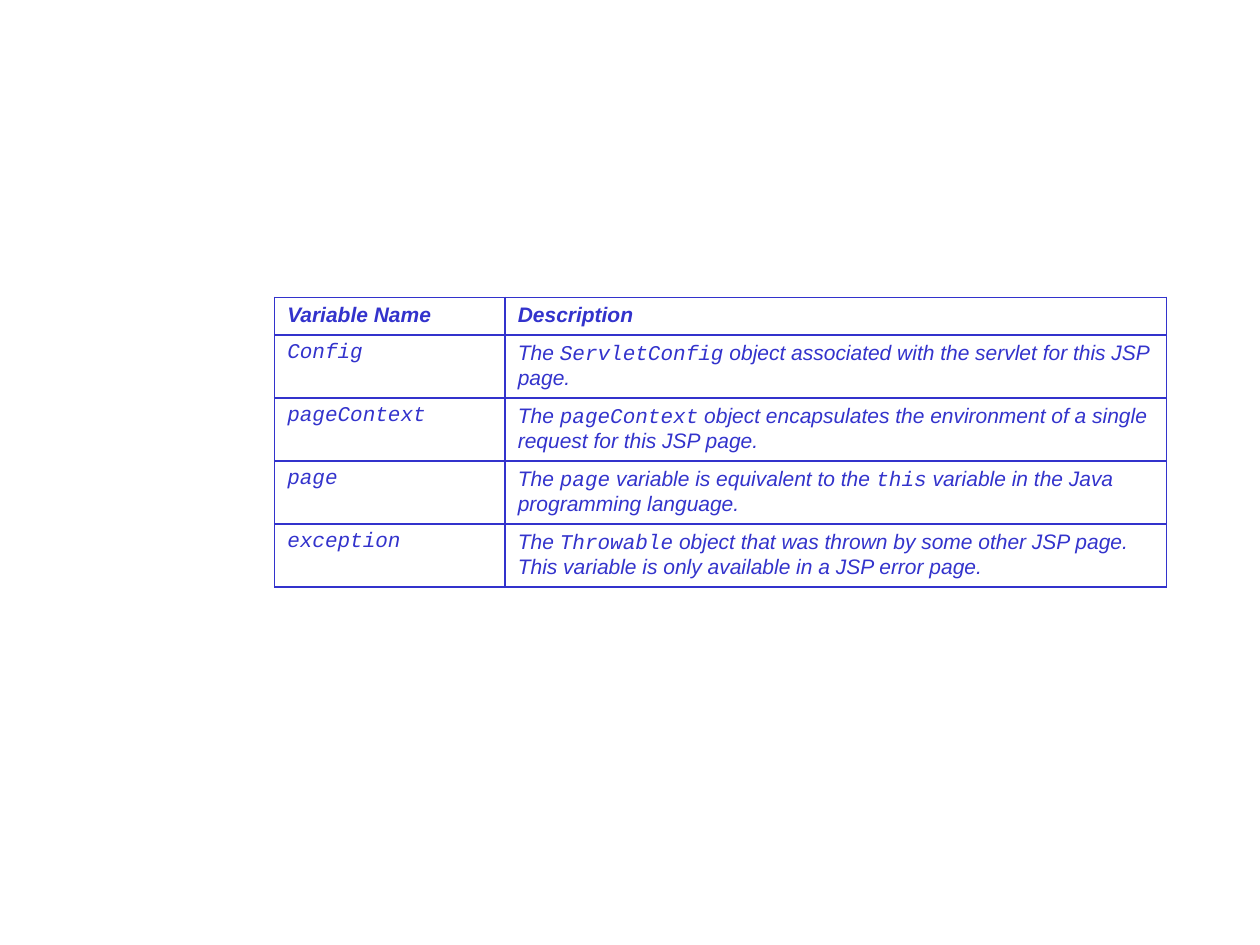
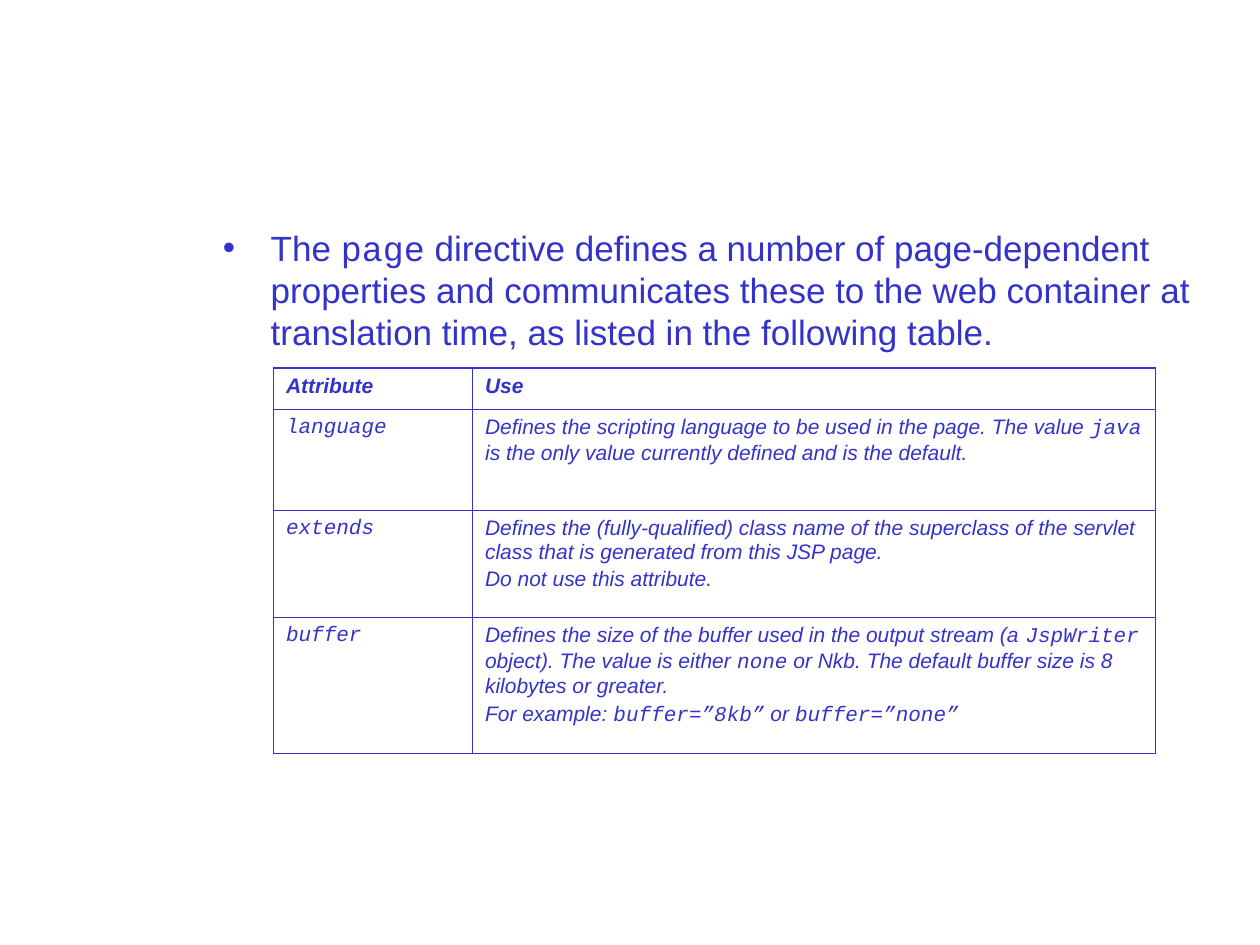
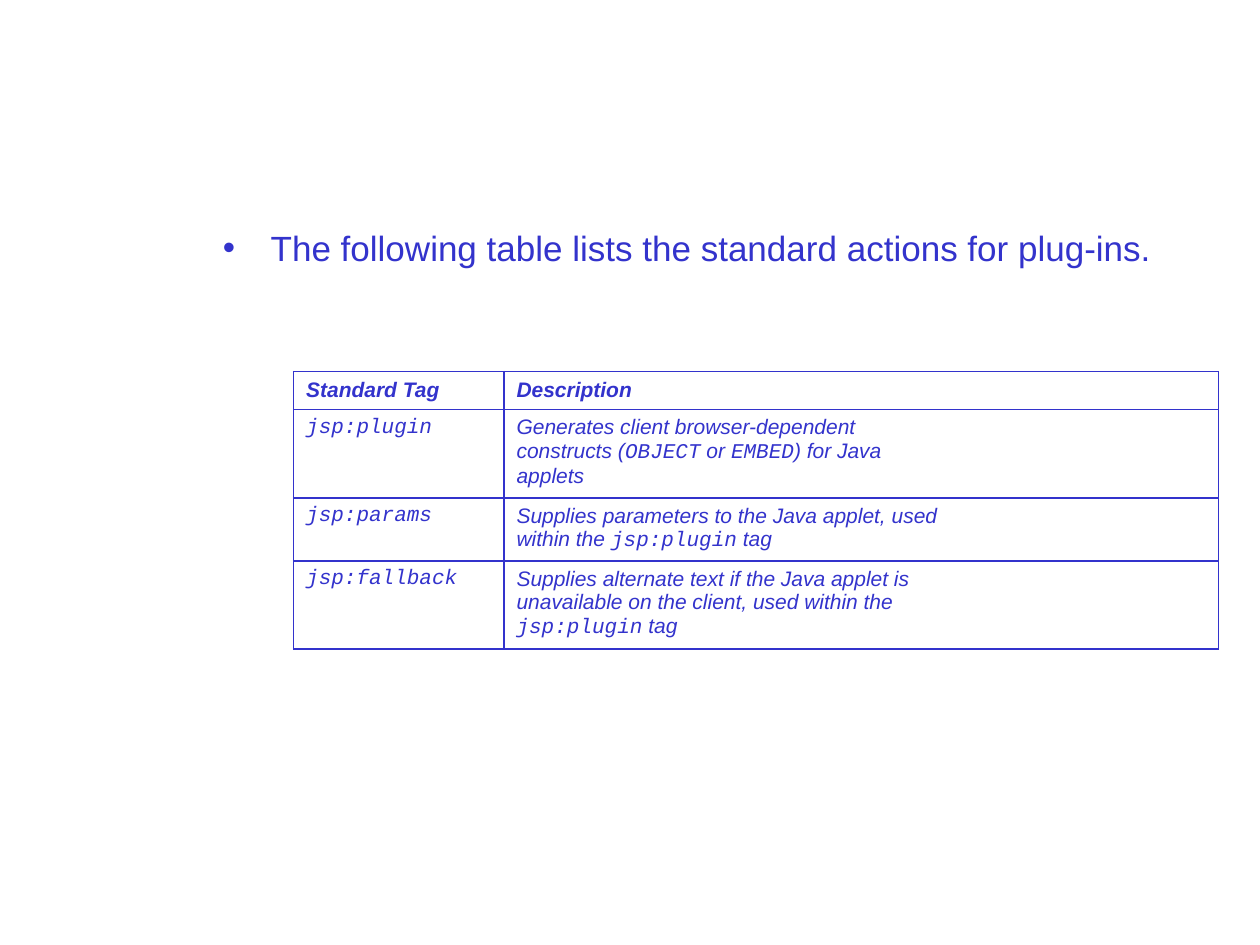
from lxml import etree
from pptx import Presentation
from pptx.dml.color import RGBColor
from pptx.oxml.ns import qn
from pptx.util import Inches, Pt

BLUE = "3333CC"
BODY_FONT, CODE_FONT = "Arial", "Courier New"
BODY_SIZE, TABLE_SIZE = 20, 12
BODY_BOX = (1.67, 1.75, 8, 5)
BULLET_INDENT = 0.38
SPACING = 0.2  # space before a paragraph, as a share of the text size

# Backticks mark code; a line break starts a new paragraph
VARIABLES = [
    ("Variable Name", "Description"),
    ("`Config`", "The `ServletConfig` object associated with the servlet for this JSP page."),
    ("`pageContext`", "The `pageContext` object encapsulates the environment of a single "
                      "request for this JSP page."),
    ("`page`", "The `page` variable is equivalent to the `this` variable in the Java "
               "programming language."),
    ("`exception`", "The `Throwable` object that was thrown by some other JSP page. "
                    "This variable is only available in a JSP error page."),
]
ATTRIBUTES = [
    ("Attribute", "Use"),
    ("`language`", "Defines the scripting language to be used in the page. The value `java` "
                   "is the only value currently defined and is the default."),
    ("`extends`", "Defines the (fully-qualified) class name of the superclass of the servlet "
                  "class that is generated from this JSP page.\nDo not use this attribute."),
    ("`buffer`", "Defines the size of the buffer used in the output stream (a `JspWriter` "
                 "object). The value is either `none` or Nkb. The default buffer size is "
                 "8 kilobytes or greater.\n"
                 "For example: `buffer=”8kb”` or `buffer=”none”`"),
]
PLUGIN_TAGS = [
    ("Standard Tag", "Description"),
    ("`jsp:plugin`", "Generates client browser-dependent\n"
                     "constructs (`OBJECT` or `EMBED`) for Java\napplets"),
    ("`jsp:params`", "Supplies parameters to the Java applet, used\n"
                     "within the `jsp:plugin` tag"),
    ("`jsp:fallback`", "Supplies alternate text if the Java applet is\n"
                       "unavailable on the client, used within the\n`jsp:plugin` tag"),
]


def rgb(value):
    return RGBColor.from_string(value)


def write(tf, text, size, bold=False, italic=False, spacing=0):
    """Fill a text frame, setting the parts between backticks in the code font."""
    for i, line in enumerate(text.split("\n")):
        p = tf.paragraphs[0] if i == 0 else tf.add_paragraph()
        p.space_before = Pt(size * spacing)
        for j, part in enumerate(line.split("`")):
            if not part:
                continue
            r = p.add_run()
            r.text = part
            r.font.name = CODE_FONT if j % 2 else BODY_FONT
            r.font.size = Pt(size)
            r.font.bold, r.font.italic = bold, italic
            r.font.color.rgb = rgb(BLUE)


def add_bullet(s, text, box=BODY_BOX):
    tf = s.shapes.add_textbox(*map(Inches, box)).text_frame
    tf.word_wrap = True
    write(tf, text, BODY_SIZE, spacing=SPACING)
    # Hanging bullet
    pPr = tf.paragraphs[0]._p.get_or_add_pPr()
    pPr.set("marL", str(Inches(BULLET_INDENT)))
    pPr.set("indent", str(-Inches(BULLET_INDENT)))
    etree.SubElement(pPr, qn("a:buFont"), typeface=BODY_FONT)
    etree.SubElement(pPr, qn("a:buChar"), char="•")


def add_borders(cell):
    tcPr = cell._tc.get_or_add_tcPr()
    for side in ("lnL", "lnR", "lnT", "lnB"):
        ln = etree.SubElement(tcPr, qn(f"a:{side}"), w=str(Pt(1)))
        fill = etree.SubElement(ln, qn("a:solidFill"))
        etree.SubElement(fill, qn("a:srgbClr"), val=BLUE)


def add_grid(s, left, top, widths, heights, rows, spacing=0):
    frame = s.shapes.add_table(len(rows), len(widths), Inches(left), Inches(top),
                               Inches(sum(widths)), Inches(sum(heights)))
    table = frame.table
    table.first_row = table.horz_banding = False
    for column, width in zip(table.columns, widths):
        column.width = Inches(width)
    for i, (height, texts) in enumerate(zip(heights, rows)):
        table.rows[i].height = Inches(height)
        for j, text in enumerate(texts):
            cell = table.cell(i, j)
            add_borders(cell)
            cell.fill.background()
            write(cell.text_frame, text, TABLE_SIZE, i == 0, True, spacing)


def main():
    prs = Presentation()
    prs.slide_width, prs.slide_height = Inches(10), Inches(7.5)
    blank = prs.slide_layouts[6]

    # Implicit variables
    s = prs.slides.add_slide(blank)
    add_grid(s, 2.18, 2.36, (1.83, 5.25), (0.3,) + (0.5,) * 4, VARIABLES)

    # Page directive
    s = prs.slides.add_slide(blank)
    add_bullet(s, "The `page` directive defines a number of page-dependent properties and "
                  "communicates these to the web container at translation time, as listed "
                  "in the following table.")
    add_grid(s, 2.17, 2.92, (1.58, 5.42), (0.33, 0.8, 0.85, 1.08), ATTRIBUTES, SPACING)

    # Plug-in actions
    s = prs.slides.add_slide(blank)
    add_bullet(s, "The following table lists the standard actions for plug-ins.")
    add_grid(s, 2.33, 2.95, (1.67, 5.67), (0.3, 0.7, 0.5, 0.7), PLUGIN_TAGS)

    prs.save("out.pptx")


if __name__ == "__main__":
    main()
